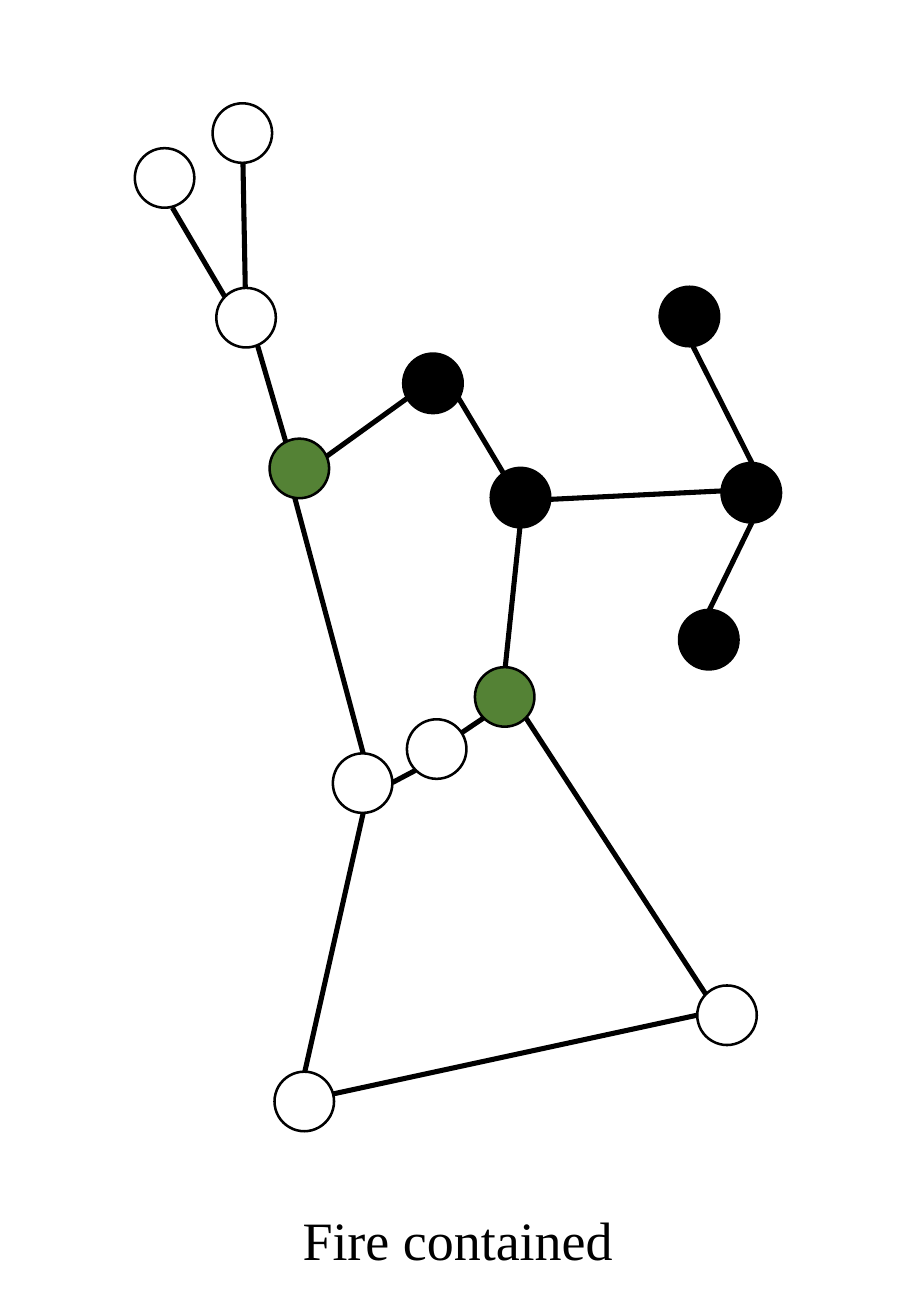
from pptx import Presentation
from pptx.dml.color import RGBColor
from pptx.enum.shapes import MSO_CONNECTOR, MSO_SHAPE
from pptx.enum.text import MSO_ANCHOR, MSO_AUTO_SIZE, PP_ALIGN
from pptx.oxml import parse_xml
from pptx.oxml.ns import nsdecls
from pptx.util import Pt

COLORS = {"black": "000000", "white": "FFFFFF", "green": "548235"}
SIZE = 35.3

STARS = {
    "white": [(79.9, 87.8), (128.2, 170.6), (126, 61.2), (197.3, 446.4),
              (241.2, 426.2), (162.7, 635), (413.3, 583.9)],
    "green": [(159.8, 259.9), (281.5, 395.3)],
    "black": [(239, 209.5), (290.9, 277.2), (427.7, 274.3),
              (391, 169.9), (402.5, 361.4)],
}

LINKS = [
    (102.2, 123.1, 133.2, 175.7),
    (144, 95.8, 145.4, 170.6),
    (169.9, 263.5, 152.6, 204.5),
    (192.2, 271.4, 244.1, 234),
    (299.5, 282.2, 270.7, 234),
    (326.2, 295.9, 427.7, 290.9),
    (410.4, 204.5, 445.7, 274.3),
    (445.7, 309.6, 420.5, 361.4),
    (215.3, 446.4, 174.2, 293),
    (299.5, 395.3, 308.2, 312.5),
    (232.6, 463.7, 246.2, 456.5),
    (273.6, 434.2, 286.6, 425.5),
    (180.7, 635, 215.3, 481.7),
    (195.1, 648.7, 414.7, 601.2),
    (418.3, 589, 311.8, 425.5),
]


def color(name):
    return RGBColor.from_string(COLORS[name])


def stroke(item, width):
    item.line.color.rgb = color("black")
    item.line.width = Pt(width)


def add_link(slide, ends):
    link = slide.shapes.add_connector(MSO_CONNECTOR.STRAIGHT, *map(Pt, ends))
    stroke(link, 3)
    link._element.spPr.append(parse_xml(f"<a:effectLst {nsdecls('a')}/>"))


def add_star(slide, left, top, fill):
    star = slide.shapes.add_shape(
        MSO_SHAPE.OVAL, Pt(left), Pt(top), Pt(SIZE), Pt(SIZE))
    star.shadow.inherit = False
    star.fill.solid()
    star.fill.fore_color.rgb = color(fill)
    stroke(star, 1.5)


def set_title(slide, text):
    title = slide.shapes.title
    title.left, title.top = Pt(79.9), Pt(711.4)
    title.width, title.height = Pt(383), Pt(46.1)
    frame = title.text_frame
    frame.word_wrap = True
    frame.auto_size = MSO_AUTO_SIZE.SHAPE_TO_FIT_TEXT
    frame.vertical_anchor = MSO_ANCHOR.TOP
    para = frame.paragraphs[0]
    para.alignment = PP_ALIGN.CENTER
    run = para.add_run()
    run.text = text
    run.font.name = "Times New Roman"
    run.font.size = Pt(32)
    run.font.color.rgb = color("black")


def main():
    deck = Presentation()
    deck.slide_width, deck.slide_height = Pt(540), Pt(779.76)
    slide = deck.slides.add_slide(deck.slide_layouts[5])
    set_title(slide, "Fire contained")
    for ends in LINKS:
        add_link(slide, ends)
    for fill, spots in STARS.items():
        for left, top in spots:
            add_star(slide, left, top, fill)
    deck.save("out.pptx")


main()
